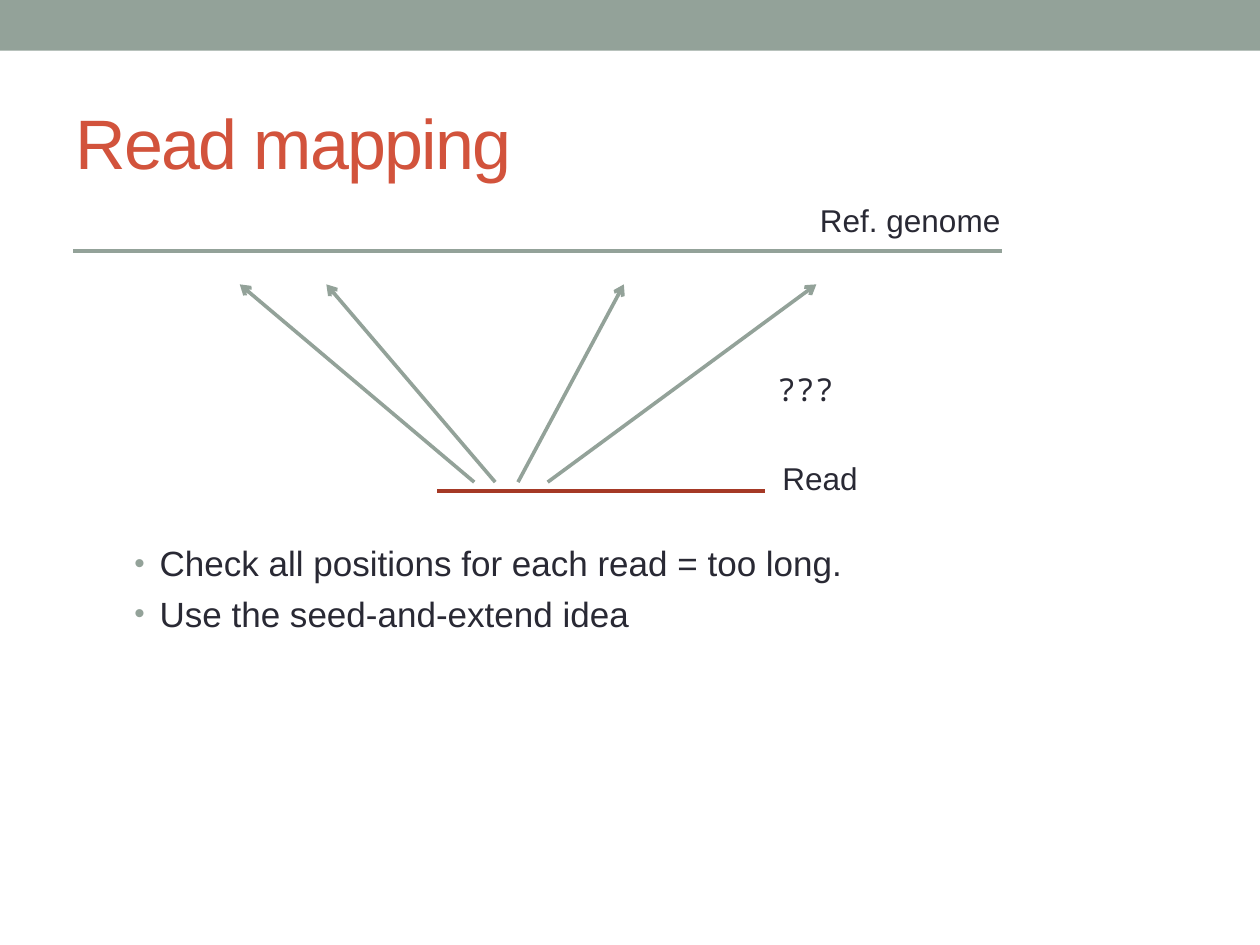
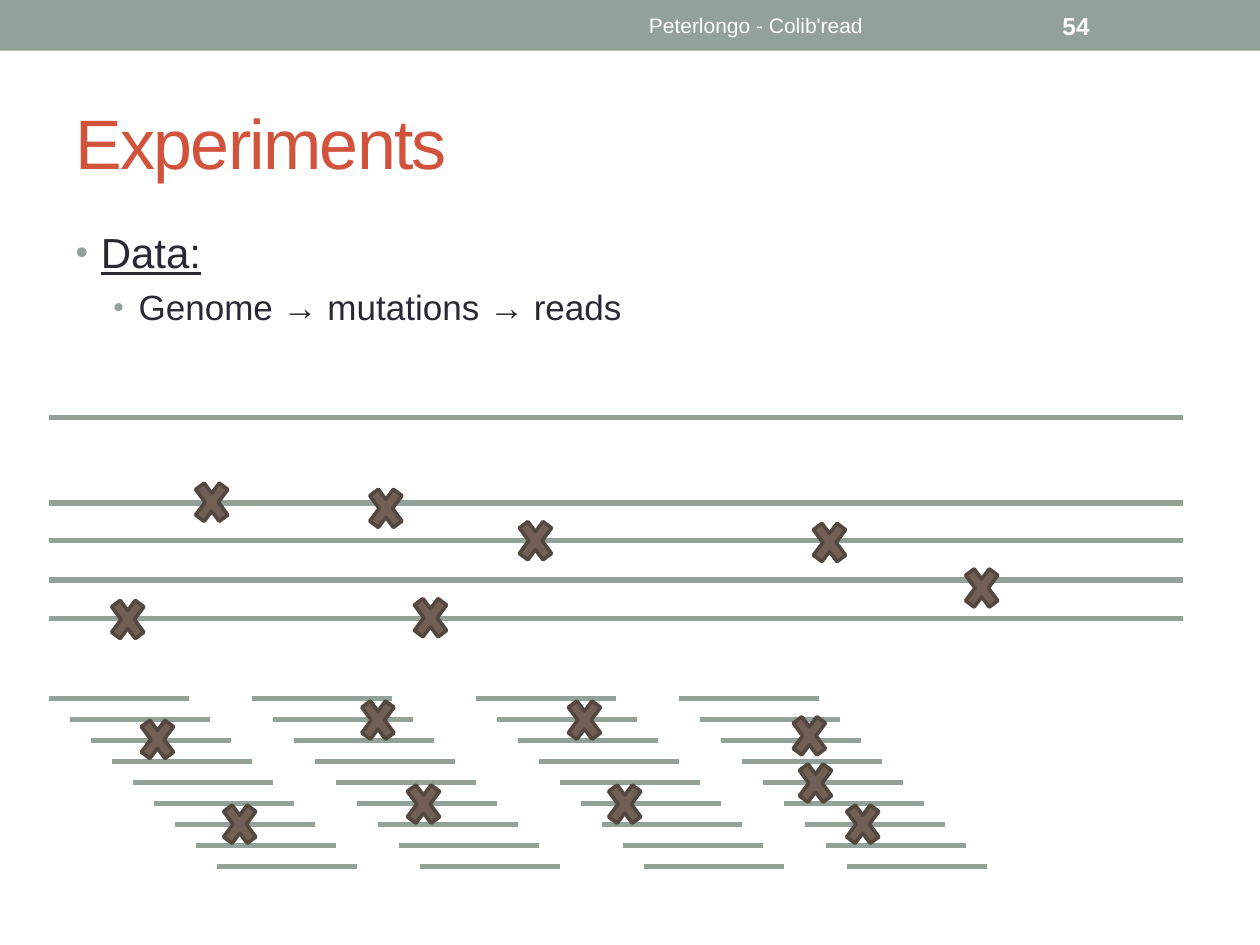
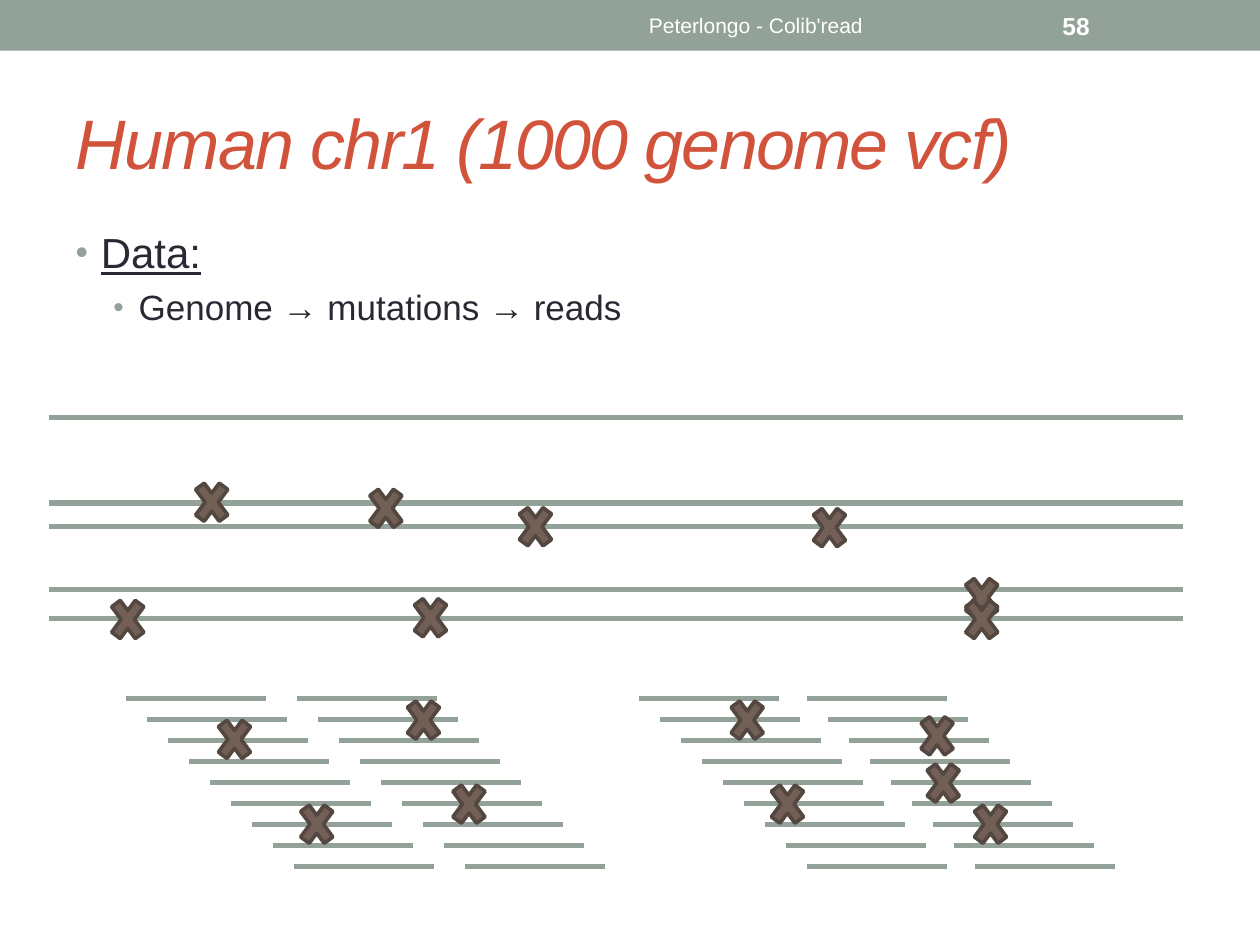
from dataclasses import dataclass

from lxml import etree
from pptx import Presentation
from pptx.dml.color import RGBColor
from pptx.enum.shapes import MSO_CONNECTOR, MSO_SHAPE
from pptx.enum.text import MSO_ANCHOR, MSO_AUTO_SIZE, PP_ALIGN
from pptx.oxml.ns import qn
from pptx.util import Pt

STRAIGHT = MSO_CONNECTOR.STRAIGHT
RECT, CROSS = MSO_SHAPE.RECTANGLE, MSO_SHAPE.MATH_MULTIPLY
TOP, MIDDLE = MSO_ANCHOR.TOP, MSO_ANCHOR.MIDDLE
LEFT, CENTER = PP_ALIGN.LEFT, PP_ALIGN.CENTER
FIXED, GROW = MSO_AUTO_SIZE.NONE, MSO_AUTO_SIZE.SHAPE_TO_FIT_TEXT


@dataclass(frozen=True)
class Theme:
    sage: str = "93A299"
    coral: str = "D2533C"
    brick: str = "A53926"
    ink: str = "292934"
    white: str = "FFFFFF"
    brown: str = "726056"
    dark: str = "544740"
    font: str = "Arial"
    mono: str = "Noto Sans Mono"
    title: int = 40
    lead: int = 24
    point: int = 20
    label: int = 18
    page: int = 14
    foot: int = 12
    thin: float = 2.08
    thick: float = 3


T = Theme()
WIDTH, HEIGHT = 720, 540
TITLE = (36, 42, 648, 78)
BODY = (36, 126, 648, 344)
FOOT = (270, 1.5, 414, 26)
GENOMES = (28, 238.5, 648, 115)
READS_TOP = 399

READ, ROWS, STEP = 80, 9, 12
MARK = (26, 35)
READ_MARKS = [
    [(49, 6), (96, 54.5)],
    [(59, -5), (85, 43)],
    [(72, 43), (49, -5)],
    [(61.5, 4), (92, 54.5), (65, 31)],
]
SHARED_MARKS = [(80, 31), (179.5, 34.5), (32, 98), (205, 97)]


def color(code):
    return RGBColor.from_string(code)


def place(shape, box):
    shape.left, shape.top, shape.width, shape.height = map(Pt, box)


def style(para, size, code, font=T.font, **flags):
    for run in para.runs:
        run.font.name = font
        run.font.size = Pt(size)
        run.font.color.rgb = color(code)
        for name, value in flags.items():
            setattr(run.font, name, value)


def line(slide, start, end, code=T.sage, width=T.thick, arrow=False):
    link = slide.shapes.add_connector(STRAIGHT, *map(Pt, (*start, *end)))
    link.line.color.rgb = color(code)
    link.line.width = Pt(width)
    props = link.element.spPr
    if arrow:
        etree.SubElement(props.find(qn("a:ln")), qn("a:tailEnd"), type="arrow")
    etree.SubElement(props, qn("a:effectLst"))


def solid(slide, kind, box, fill, edge=None):
    shape = slide.shapes.add_shape(kind, *map(Pt, box))
    shape.shadow.inherit = False
    shape.fill.solid()
    shape.fill.fore_color.rgb = color(fill)
    if edge:
        shape.line.color.rgb = color(edge)
        shape.line.width = Pt(T.thin)
    else:
        shape.line.fill.background()
    return shape


def label(slide, box, text, size=T.label, code=T.ink, font=T.font,
          align=LEFT, anchor=TOP, fit=GROW, bold=False):
    shape = slide.shapes.add_textbox(*map(Pt, box))
    frame = shape.text_frame
    frame.word_wrap = True
    frame.auto_size = fit
    frame.vertical_anchor = anchor
    frame.text = text
    para = frame.paragraphs[0]
    para.alignment = align
    style(para, size, code, font, bold=bold)


def band(deck, slide):
    strip = solid(slide, RECT, (0, 0, WIDTH, 29), T.sage)
    deck.slide_master.element.cSld.spTree.insert(2, strip.element)


def head(slide, box, text, italic=False):
    shape = slide.shapes.title
    place(shape, box)
    frame = shape.text_frame
    frame.text = text
    frame.auto_size = FIXED
    frame.vertical_anchor = MIDDLE
    para = frame.paragraphs[0]
    para.alignment = LEFT
    style(para, T.title, T.coral, italic=italic)
    for run in para.runs:
        run._r.get_or_add_rPr().set("spc", "-100")


def bullet(para, margin):
    props = para._p.get_or_add_pPr()
    props.set("marL", str(Pt(margin)))
    props.set("indent", str(Pt(-14.4)))
    tint = etree.SubElement(props, qn("a:buClr"))
    etree.SubElement(tint, qn("a:srgbClr"), val=T.sage)
    etree.SubElement(props, qn("a:buSzPct"), val="85000")
    etree.SubElement(props, qn("a:buFont"), typeface=T.font)
    etree.SubElement(props, qn("a:buChar"), char="•")


def points(slide, box, items):
    shape = slide.placeholders[1]
    place(shape, box)
    frame = shape.text_frame
    frame.text = "\n".join(text for text, level in items)
    frame.auto_size = FIXED
    frame.vertical_anchor = TOP
    for i, (para, (text, level)) in enumerate(zip(frame.paragraphs, items)):
        para.level = level
        bullet(para, 36 if level else 14.4)
        para.space_before = Pt(5 if i else 0)
        style(para, T.point if level else T.lead, T.ink, underline=not level)


def footer(slide, box, page):
    x, y, w, h = box
    label(slide, (x, y, 324, h), "Peterlongo - Colib'read", T.foot, T.white,
          align=CENTER, anchor=MIDDLE, fit=FIXED)
    label(slide, (x + 330, y, w - 330, h), page, T.page, T.white,
          anchor=MIDDLE, fit=FIXED, bold=True)


def mapping(slide, box):
    x, y, w, h = box
    line(slide, (x, y + 32), (x + 530.5, y + 32), T.sage, T.thin)
    line(slide, (x + 208, y + 169), (x + 395, y + 169), T.brick, T.thin)
    for dx, dy, text, font in [(419.5, 0, "Ref. genome", T.font),
                               (398, 147.5, "Read", T.font),
                               (395, 96.5, "???", T.mono)]:
        label(slide, (x + dx, y + dy, 221, 29), text, font=font)
    for start, end in [(229, 95), (241, 144.5), (254, 314.5), (271, 424.5)]:
        line(slide, (x + start, y + 164), (x + end, y + 51),
             T.sage, T.thin, arrow=True)


def mark(slide, x, y, spots):
    for dx, dy in spots:
        solid(slide, CROSS, (x + dx, y + dy, *MARK), T.brown, T.dark)


def genomes(slide, box, inner, spots):
    x, y, w, h = box
    for dy in (0, 49, *inner, h):
        line(slide, (x, y + dy), (x + w, y + dy))
    mark(slide, x, y, SHARED_MARKS + spots)


def reads(slide, x, y, spots):
    for row in range(ROWS):
        left, level = x + row * STEP, y + row * STEP
        line(slide, (left, level), (left + READ, level))
    mark(slide, x, y, spots)


def intro(slide):
    head(slide, TITLE, "Read mapping")
    mapping(slide, (42, 111.5, 640, 177))
    points(slide, (48, 306, 648, 384), [
        ("Check all positions for each read = too long.", 1),
        ("Use the seed-and-extend idea", 1),
    ])


def trial(slide, title, page, inner, spots, lefts, italic=False):
    head(slide, TITLE, title, italic)
    points(slide, BODY, [("Data:", 0), ("Genome → mutations → reads", 1)])
    footer(slide, FOOT, page)
    genomes(slide, GENOMES, inner, spots)
    for left, group in zip(lefts, READ_MARKS):
        reads(slide, left, READS_TOP, group)


def main():
    deck = Presentation()
    deck.slide_width, deck.slide_height = Pt(WIDTH), Pt(HEIGHT)
    first, second, third = [
        deck.slides.add_slide(deck.slide_layouts[1]) for _ in range(3)]
    band(deck, first)
    intro(first)
    trial(second, "Experiments", "54", (70.5, 93),
          [(520, 80), (433, 54), (265, 53)], (28, 144, 272, 388))
    trial(third, "Human chr1 (1000 genome vcf)", "58", (62.5, 98.5),
          [(520, 85.5), (433, 45.5), (265, 45), (520, 98)],
          (72, 170, 365, 461), italic=True)
    deck.save("out.pptx")


if __name__ == "__main__":
    main()
